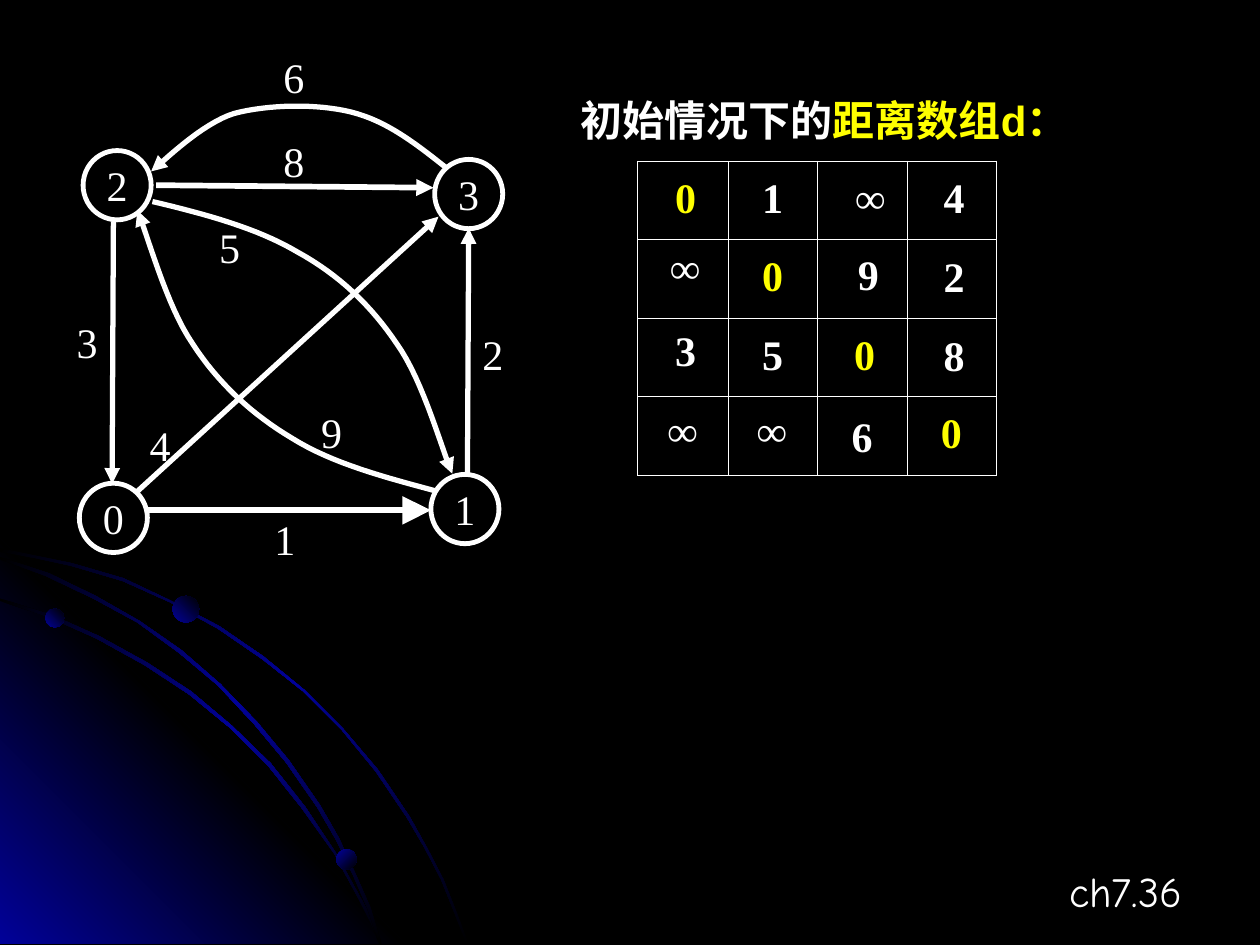
import dataclasses

import pptx
import pptx.dml.color
import pptx.enum.shapes
import pptx.enum.text
import pptx.oxml.ns
import pptx.util
from lxml import etree

Inches = pptx.util.Inches
ALIGN = pptx.enum.text.PP_ALIGN
ANCHOR = pptx.enum.text.MSO_ANCHOR


@dataclasses.dataclass(frozen=True)
class Theme:
    black: str = "000000"
    white: str = "FFFFFF"
    yellow: str = "FFFF00"
    blue: str = "010199"
    serif: str = "Times New Roman"
    sans: str = "Arial"
    footer: str = "Comic Neue"
    text_size: int = 24
    node_line: float = 2.75
    edge_line: float = 3
    strong_edge_line: float = 3.25
    grid_line: float = 0.45


THEME = Theme()

# Orbits: the outer edge, then the inner edge back to the start
ORBITS = [
    [(0, .35), (.28, .41), (.57, .47), (.98, .59), (1.36, .77), (1.74, .97), (2.09, 1.21),
     (2.42, 1.48), (2.72, 1.78), (3, 2.11), (3.25, 2.48), (3.39, 2.73), (3.52, 2.98),
     (3.62, 3.23), (3.72, 3.49), (3.7, 3.49), (3.6, 3.23), (3.5, 2.98), (3.37, 2.73),
     (3.23, 2.49), (2.98, 2.12), (2.71, 1.79), (2.41, 1.49), (2.08, 1.23), (1.73, .99),
     (1.35, .78), (.97, .61), (.56, .49), (.28, .43), (0, .38)],
    [(0, .75), (.41, .88), (.79, 1.05), (1.17, 1.26), (1.52, 1.49), (1.84, 1.76),
     (2.15, 2.06), (2.42, 2.4), (2.66, 2.76), (2.86, 3.12), (2.96, 3.3), (3.03, 3.49),
     (3.01, 3.49), (2.94, 3.32), (2.85, 3.14), (2.65, 2.77), (2.4, 2.42), (2.13, 2.08),
     (1.83, 1.78), (1.5, 1.51), (1.15, 1.28), (.77, 1.07), (.39, .9), (0, .77)],
    [(0, .42), (.39, .55), (.76, .73), (1.11, .93), (1.44, 1.16), (1.75, 1.43),
     (2.04, 1.73), (2.29, 2.03), (2.54, 2.39), (2.69, 2.65), (2.82, 2.93), (2.94, 3.2),
     (3.03, 3.49), (3.01, 3.49), (2.92, 3.22), (2.8, 2.94), (2.67, 2.67), (2.52, 2.41),
     (2.27, 2.05), (2.02, 1.75), (1.73, 1.44), (1.42, 1.18), (1.09, .94), (.74, .75),
     (.36, .57), (0, .44)],
]
GLOW = [(0, .27), (3.22, 3.49), (0, 3.49)]
PLANETS = [(.36, .83, .15, 315), (2.67, 2.74, .16, 45), (1.37, .73, .21, 315)]

# Graph: node and weight centres, straight edges, chains of cubic curves
NODES = {"3": (3.22, 1.04), "2": (.43, .97), "1": (3.19, 3.54), "0": (.4, 3.61)}
WEIGHTS = {"8": (1.83, .78), "4": (.77, 3.03), "1": (1.76, 3.78), "9": (2.13, 2.93),
           "6": (1.83, .11), "2": (3.41, 2.31), "5": (1.32, 1.46), "3": (.19, 2.21)}
STRAIGHT_EDGES = [
    ((.74, .97), (2.94, .99), THEME.strong_edge_line, "med"),
    ((3.21, 3.26), (3.22, 1.31), THEME.edge_line, "med"),
    ((.4, 1.26), (.39, 3.34), THEME.edge_line, "med"),
    ((.59, 3.4), (2.98, 1.22), THEME.edge_line, "med"),
    ((.67, 3.55), (2.92, 3.55), THEME.strong_edge_line, "lg"),
]
CURVED_EDGES = [
    [(.71, 1.1), (1.13, 1.2), (1.54, 1.31), (1.86, 1.5), (2.19, 1.68), (2.45, 1.93),
     (2.65, 2.23), (2.86, 2.52), (3.02, 3.11), (3.09, 3.26)],
    [(2.97, 3.4), (2.56, 3.29), (2.14, 3.18), (1.82, 2.98), (1.5, 2.79), (1.23, 2.54),
     (1.03, 2.23), (.82, 1.93), (.66, 1.33), (.59, 1.17)],
    [(3.04, .83), (2.8, .64), (2.57, .46), (2.29, .39), (2.01, .32), (1.63, .33),
     (1.36, .4), (1.1, .48), (.8, .78), (.7, .86)],
]

# Distances by row: value, left and top within the grid
DISTANCES = [
    [("0", .2, .03), ("1", .89, .03), ("∞", 1.63, .03), ("4", 2.33, .03)],
    [("∞", .16, .59), ("0", .89, .65), ("9", 1.65, .64), ("2", 2.33, .66)],
    [("3", .2, 1.25), ("5", .89, 1.28), ("0", 1.62, 1.28), ("8", 2.33, 1.29)],
    [("∞", .14, 1.88), ("∞", .85, 1.88), ("6", 1.6, 1.93), ("0", 2.31, 1.9)],
]
VALUE_WIDTHS = {"∞": .44, "0": .36, "4": .37}
GRID_COLUMNS = (.72, .71, .71, .71)


def rgb(color):
    return pptx.dml.color.RGBColor.from_string(color)


def sub(parent, tag, **attributes):
    return etree.SubElement(parent, pptx.oxml.ns.qn(tag), **attributes)


def add_run(paragraph, text, color=THEME.white, font=THEME.serif, bold=False):
    run = paragraph.add_run()
    run.text = text
    run.font.name, run.font.size, run.font.bold = font, pptx.util.Pt(THEME.text_size), bold
    run.font.color.rgb = rgb(color)


def set_gradient(shape, colors, angle):
    shape.shadow.inherit = False
    shape.line.fill.background()
    shape.fill.gradient()
    gradient = shape.fill._xPr.find(pptx.oxml.ns.qn("a:gradFill"))
    for child in list(gradient):
        gradient.remove(child)
    stops = sub(gradient, "a:gsLst")
    for i, color in enumerate(colors):
        stop = sub(stops, "a:gs", pos=str(100000 * i // (len(colors) - 1)))
        sub(stop, "a:srgbClr", val=color)
    sub(gradient, "a:lin", ang=str(angle * 60000), scaled="0")


def style_edge(edge, width=THEME.edge_line, head="med"):
    edge.line.color.rgb = rgb(THEME.white)
    edge.line.width = pptx.util.Pt(width)
    sub(edge.line._get_or_add_ln(), "a:tailEnd", type="triangle", w=head, len=head)


def add_outline(slide, left, top, points, close):
    corners = [(left + Inches(x), top + Inches(y)) for x, y in points]
    builder = slide.shapes.build_freeform(*corners[0])
    builder.add_line_segments(corners[1:], close=close)
    return builder.convert_to_shape()


def sample_curve(points, steps=16):
    """Points along a chain of cubic curves that share their ends."""
    sampled = [points[0]]
    for i in range(0, len(points) - 1, 3):
        for t in (step / steps for step in range(1, steps + 1)):
            factors = ((1 - t) ** 3, 3 * t * (1 - t) ** 2, 3 * t * t * (1 - t), t ** 3)
            sampled.append(tuple(sum(f * p[axis] for f, p in zip(factors, points[i:i + 4]))
                                 for axis in (0, 1)))
    return sampled


def add_text(slide, left, top, width, height, text, align, **style):
    box = slide.shapes.add_textbox(left, top, width, height)
    box.text_frame.word_wrap = True
    paragraph = box.text_frame.paragraphs[0]
    paragraph.alignment = align
    add_run(paragraph, text, **style)


def add_backdrop(slide, left, top):
    glow = add_outline(slide, left, top, GLOW, True)
    set_gradient(glow, (THEME.blue, THEME.black, THEME.blue), 315)
    for points in ORBITS:
        orbit = add_outline(slide, left, top, points, True)
        set_gradient(orbit, (THEME.black, THEME.blue, THEME.black), 45)
    for x, y, size, angle in PLANETS:
        planet = slide.shapes.add_shape(pptx.enum.shapes.MSO_SHAPE.OVAL, left + Inches(x),
                                        top + Inches(y), Inches(size), Inches(size))
        set_gradient(planet, (THEME.blue, THEME.black), angle)


def add_graph(slide, left, top):
    # Nodes
    width, height = Inches(.54), Inches(.55)
    for name, (x, y) in NODES.items():
        node = slide.shapes.add_shape(
            pptx.enum.shapes.MSO_SHAPE.OVAL, left + Inches(x) - width // 2,
            top + Inches(y) - height // 2, width, height)
        node.shadow.inherit = False
        node.fill.background()
        node.line.color.rgb = rgb(THEME.white)
        node.line.width = pptx.util.Pt(THEME.node_line)
        node.text_frame.word_wrap = False
        node.text_frame.vertical_anchor = ANCHOR.MIDDLE
        label = node.text_frame.paragraphs[0]
        label.alignment = ALIGN.CENTER
        add_run(label, name)
    # Edges
    for (x1, y1), (x2, y2), line_width, head in STRAIGHT_EDGES:
        edge = slide.shapes.add_connector(
            pptx.enum.shapes.MSO_CONNECTOR.STRAIGHT, left + Inches(x1), top + Inches(y1),
            left + Inches(x2), top + Inches(y2))
        style_edge(edge, line_width, head)
        sub(edge._element.spPr, "a:effectLst")
    for points in CURVED_EDGES:
        edge = add_outline(slide, left, top, sample_curve(points), False)
        edge.shadow.inherit = False
        edge.fill.background()
        style_edge(edge)
    # Weights
    width, height = Inches(.36), Inches(.5)
    for weight, (x, y) in WEIGHTS.items():
        add_text(slide, left + Inches(x) - width // 2, top + Inches(y) - height // 2,
                 width, height, weight, ALIGN.LEFT)


def add_distance_grid(slide, left, top, width, height):
    # Ruled cells
    size = len(DISTANCES)
    table = slide.shapes.add_table(size, size, left, top, width, height).table
    table.first_row = table.horz_banding = False
    for column, column_width in zip(table.columns, GRID_COLUMNS):
        column.width = Inches(column_width)
    for cell in table.iter_cells():
        for side in ("a:lnL", "a:lnR", "a:lnT", "a:lnB"):
            border = sub(cell._tc.get_or_add_tcPr(), side,
                         w=str(pptx.util.Pt(THEME.grid_line)))
            sub(sub(border, "a:solidFill"), "a:srgbClr", val=THEME.white)
        cell.fill.background()
    # Values over the cells, with the diagonal picked out
    for row, values in enumerate(DISTANCES):
        for column, (value, x, y) in enumerate(values):
            add_text(slide, left + Inches(x), top + Inches(y),
                     Inches(VALUE_WIDTHS.get(value, .32)), Inches(.5), value, ALIGN.LEFT,
                     color=THEME.yellow if row == column else THEME.white, bold=True)


def set_title(slide, left, top, width, height):
    title = slide.shapes.title
    title.left, title.top, title.width, title.height = left, top, width, height
    title.text_frame.vertical_anchor = ANCHOR.TOP
    heading = title.text_frame.paragraphs[0]
    heading.alignment = ALIGN.LEFT
    add_run(heading, "初始情况下的", THEME.white, THEME.sans, True)
    add_run(heading, "距离数组d：", THEME.yellow, THEME.sans, True)


def main():
    deck = pptx.Presentation()
    deck.slide_width, deck.slide_height = Inches(10), Inches(7.5)
    slide = deck.slides.add_slide(deck.slide_layouts[5])
    slide.background.fill.solid()
    slide.background.fill.fore_color.rgb = rgb(THEME.black)
    add_backdrop(slide, Inches(0), Inches(4))
    add_text(slide, Inches(7.2), Inches(6.82), Inches(2.28), Inches(.5), "ch7.36",
             ALIGN.RIGHT, font=THEME.footer)
    add_graph(slide, Inches(.5), Inches(.5))
    add_distance_grid(slide, Inches(5.06), Inches(1.28), Inches(2.85), Inches(2.49))
    set_title(slide, Inches(4.51), Inches(.7), Inches(4.68), Inches(.5))
    deck.save("out.pptx")


if __name__ == "__main__":
    main()
